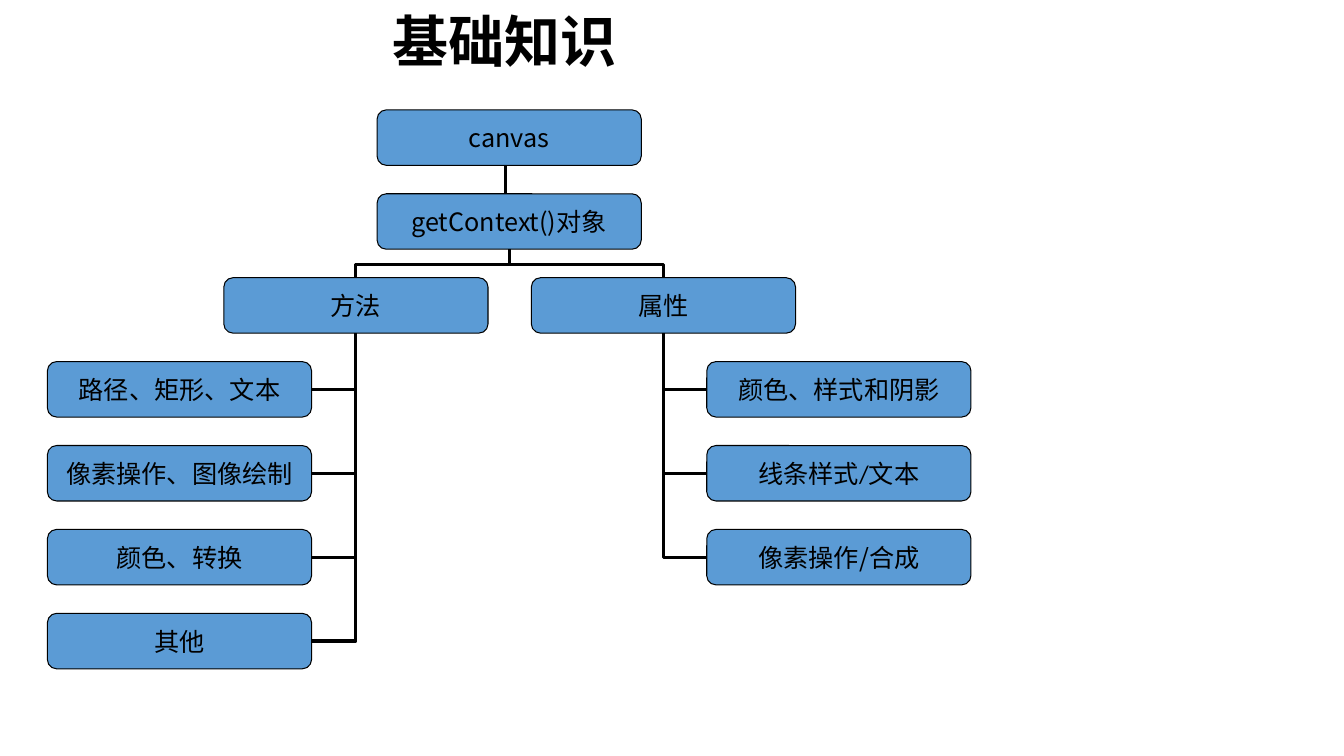
"""Build the canvas basics tree slide."""
from dataclasses import dataclass

from lxml import etree
from pptx import Presentation
from pptx.dml.color import RGBColor
from pptx.enum.shapes import MSO_CONNECTOR, MSO_SHAPE
from pptx.enum.text import MSO_ANCHOR, PP_ALIGN
from pptx.oxml.ns import qn
from pptx.shapes.autoshape import Shape
from pptx.shapes.connector import Connector
from pptx.slide import Slide
from pptx.text.text import TextFrame
from pptx.util import Inches, Pt

ROUNDED = MSO_SHAPE.ROUNDED_RECTANGLE
STRAIGHT, ELBOW = MSO_CONNECTOR.STRAIGHT, MSO_CONNECTOR.ELBOW
CENTER, MIDDLE = PP_ALIGN.CENTER, MSO_ANCHOR.MIDDLE
TOP, LEFT, BOTTOM, RIGHT = range(4)
NOTO, CALIBRI = "Noto Sans CJK SC", "Calibri"

BOX_WIDTH, BOX_HEIGHT = 2.62, 0.55
FIRST_TOP, ROW_STEP = 1.09, 0.8325
ROOT_LEFT, METHOD_LEFT, PROPERTY_LEFT = 3.74, 2.22, 5.27
LEFT_COLUMN, RIGHT_COLUMN = 0.47, 7.01
STEM_X = 5.01


@dataclass(frozen=True)
class Theme:
    """Colours and sizes of the slide."""
    ink: RGBColor = RGBColor(0, 0, 0)
    fill: RGBColor = RGBColor(0x5B, 0x9B, 0xD5)
    title_size: Pt = Pt(40)
    label_size: Pt = Pt(18)
    border: Pt = Pt(0.75)
    link: Pt = Pt(2.25)


@dataclass(frozen=True)
class Node:
    """A labelled box in the tree."""
    label: str
    left: float
    row: int
    font: str = NOTO
    parent: str = ""

    @property
    def top(self) -> float:
        """Return the top edge in inches."""
        return FIRST_TOP + self.row * ROW_STEP


THEME = Theme()
CANVAS = Node("canvas", ROOT_LEFT, 0)
CONTEXT = Node("getContext()对象", ROOT_LEFT, 1)
BRANCHES = (
    Node("方法", METHOD_LEFT, 2, parent=CONTEXT.label),
    Node("属性", PROPERTY_LEFT, 2, parent=CONTEXT.label),
)
LEAVES = (
    Node("路径、矩形、文本", LEFT_COLUMN, 3, CALIBRI, "方法"),
    Node("像素操作、图像绘制", LEFT_COLUMN, 4, CALIBRI, "方法"),
    Node("颜色、转换", LEFT_COLUMN, 5, CALIBRI, "方法"),
    Node("其他", LEFT_COLUMN, 6, CALIBRI, "方法"),
    Node("颜色、样式和阴影", RIGHT_COLUMN, 3, NOTO, "属性"),
    Node("线条样式/文本", RIGHT_COLUMN, 4, CALIBRI, "属性"),
    Node("像素操作/合成", RIGHT_COLUMN, 5, NOTO, "属性"),
)


def write_text(frame: TextFrame, text: str, size: Pt, font: str,
               margin: float = 0, bold: bool = False) -> None:
    """Fill a frame with one centred line."""
    frame.text = text
    frame.vertical_anchor = MIDDLE
    frame.margin_left = frame.margin_right = Inches(margin)
    frame.margin_top = frame.margin_bottom = Inches(margin)
    para = frame.paragraphs[0]
    para.alignment = CENTER
    span = para.runs[0]
    span.font.size, span.font.name, span.font.bold = size, font, bold
    span.font.color.rgb = THEME.ink
    east_asian = etree.SubElement(span.font._element, qn("a:ea"))
    east_asian.set("typeface", NOTO)


def add_title(page: Slide) -> None:
    """Add the slide heading."""
    box = page.shapes.add_textbox(Inches(1.94), Inches(0.11), Inches(6.12), Inches(0.57))
    box.text_frame.word_wrap = True
    write_text(box.text_frame, "基础知识", THEME.title_size, NOTO, 0.04, True)


def add_box(page: Slide, node: Node) -> Shape:
    """Draw one node of the tree."""
    box = page.shapes.add_shape(ROUNDED, Inches(node.left), Inches(node.top),
                                Inches(BOX_WIDTH), Inches(BOX_HEIGHT))
    box.shadow.inherit = False
    box.fill.solid()
    box.fill.fore_color.rgb = THEME.fill
    box.line.color.rgb = THEME.ink
    box.line.width = THEME.border
    box.text_frame.word_wrap = False
    write_text(box.text_frame, node.label, THEME.label_size, node.font)
    return box


def style_link(link: Connector) -> None:
    """Give a connector its line and no shadow."""
    link.line.color.rgb = THEME.ink
    link.line.width = THEME.link
    etree.SubElement(link._element.spPr, qn("a:effectLst"))


def add_elbow(page: Slide, child: Shape, side: int, parent: Shape) -> Connector:
    """Join a side of a child to the bottom of its parent."""
    link = page.shapes.add_connector(ELBOW, 0, 0, 0, 0)
    link.begin_connect(child, side)
    link.end_connect(parent, BOTTOM)
    style_link(link)
    return link


def add_leaf_link(page: Slide, child: Shape, parent: Shape) -> None:
    """Run a one-bend link from a leaf to its branch."""
    side = RIGHT if child.left < parent.left else LEFT
    link = add_elbow(page, child, side, parent)
    link._element.spPr.find(qn("a:prstGeom")).set("prst", "bentConnector2")


def add_branch_link(page: Slide, child: Shape, parent: Shape) -> None:
    """Run a vertical two-bend link from a branch to the context box."""
    link = add_elbow(page, child, TOP, parent)
    span, rise = link.width, link.height
    center_x, center_y = link.left + span // 2, link.top + rise // 2
    link.left, link.top = center_x - rise // 2, center_y - span // 2
    link.width, link.height = rise, span
    frame = link._element.spPr.find(qn("a:xfrm"))
    on_left = child.left < parent.left
    frame.set("rot", "16200000" if on_left else "5400000")
    frame.set("flipH", "0" if on_left else "1")
    frame.set("flipV", "0")
    guides = link._element.spPr.find(qn("a:prstGeom")).get_or_add_avLst()
    guide = etree.SubElement(guides, qn("a:gd"))
    guide.set("name", "adj1")
    guide.set("fmla", "val 45300")


def main() -> None:
    """Create and save the deck."""
    deck = Presentation()
    deck.slide_width, deck.slide_height = Inches(13.33), Inches(7.5)
    page = deck.slides.add_slide(deck.slide_layouts[6])
    add_title(page)
    boxes = {node.label: add_box(page, node)
             for node in (CANVAS, CONTEXT, *BRANCHES, *LEAVES)}
    stem = page.shapes.add_connector(
        STRAIGHT, Inches(STEM_X), Inches(CONTEXT.top),
        Inches(STEM_X), Inches(CANVAS.top + BOX_HEIGHT))
    style_link(stem)
    for node in BRANCHES:
        add_branch_link(page, boxes[node.label], boxes[node.parent])
    for node in LEAVES:
        add_leaf_link(page, boxes[node.label], boxes[node.parent])
    deck.save("out.pptx")


if __name__ == "__main__":
    main()
